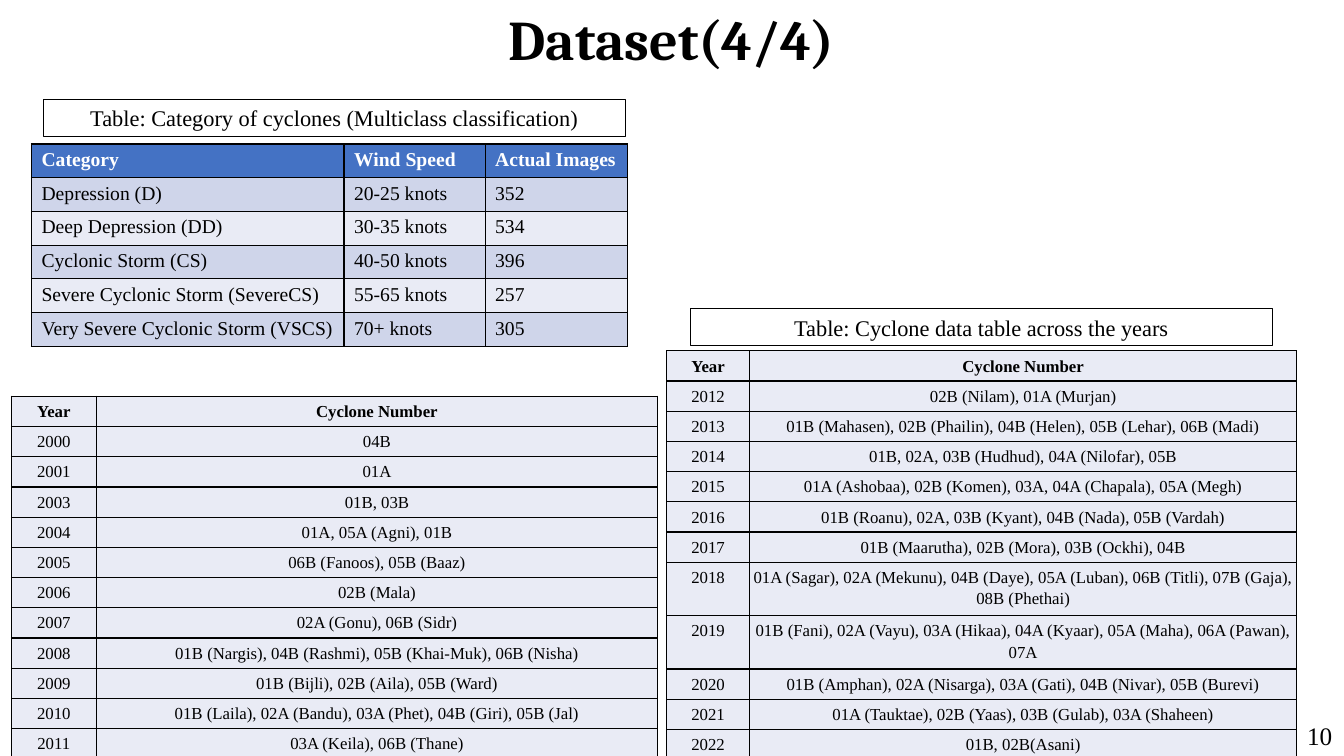
from dataclasses import dataclass
from lxml import etree
from pptx import Presentation
from pptx import util as u
from pptx.dml import color
from pptx.enum import shapes, text
from pptx.oxml import ns

TITLE = "Dataset(4/4)"
PAGE_NUMBER = "10"
CATEGORY_CAPTION = "Table: Category of cyclones (Multiclass classification)"
YEARS_CAPTION = "Table: Cyclone data table across the years"
CATEGORIES = [
    ("Category", "Wind Speed", "Actual Images"),
    ("Depression (D)", "20-25 knots", "352"),
    ("Deep Depression (DD)", "30-35 knots", "534"),
    ("Cyclonic Storm (CS)", "40-50 knots", "396"),
    ("Severe Cyclonic Storm (SevereCS)", "55-65 knots", "257"),
    ("Very Severe Cyclonic Storm (VSCS)", "70+ knots", "305"),
]
YEAR_HEADER = ("Year", "Cyclone Number")
EARLY_YEARS = [
    YEAR_HEADER,
    ("2000", "04B"),
    ("2001", "01A"),
    ("2003", "01B, 03B"),
    ("2004", "01A, 05A (Agni), 01B"),
    ("2005", "06B (Fanoos), 05B (Baaz)"),
    ("2006", "02B (Mala)"),
    ("2007", "02A (Gonu), 06B (Sidr)"),
    ("2008", "01B (Nargis), 04B (Rashmi), 05B (Khai-Muk), 06B (Nisha)"),
    ("2009", "01B (Bijli), 02B (Aila), 05B (Ward)"),
    ("2010", "01B (Laila), 02A (Bandu), 03A (Phet), 04B (Giri), 05B (Jal)"),
    ("2011", "03A (Keila), 06B (Thane)"),
]
LATE_YEARS = [
    YEAR_HEADER,
    ("2012", "02B (Nilam), 01A (Murjan)"),
    ("2013", "01B (Mahasen), 02B (Phailin), 04B (Helen), 05B (Lehar), 06B (Madi)"),
    ("2014", "01B, 02A, 03B (Hudhud), 04A (Nilofar), 05B"),
    ("2015", "01A (Ashobaa), 02B (Komen), 03A, 04A (Chapala), 05A (Megh)"),
    ("2016", "01B (Roanu), 02A, 03B (Kyant), 04B (Nada), 05B (Vardah)"),
    ("2017", "01B (Maarutha), 02B (Mora), 03B (Ockhi), 04B"),
    ("2018", "01A (Sagar), 02A (Mekunu), 04B (Daye), 05A (Luban), 06B (Titli), 07B (Gaja), 08B (Phethai)"),
    ("2019", "01B (Fani), 02A (Vayu), 03A (Hikaa), 04A (Kyaar), 05A (Maha), 06A (Pawan), 07A"),
    ("2020", "01B (Amphan), 02A (Nisarga), 03A (Gati), 04B (Nivar), 05B (Burevi)"),
    ("2021", "01A (Tauktae), 02B (Yaas), 03B (Gulab), 03A (Shaheen)"),
    ("2022", "01B, 02B(Asani)"),
]


@dataclass(frozen=True)
class Theme:
    ink: str = "000000"
    white: str = "FFFFFF"
    header: str = "4472C4"
    dark_band: str = "CFD5EA"
    light_band: str = "E9EBF5"
    title_font: str = "Cambria"
    body_font: str = "Times New Roman"
    title: int = 40
    page: int = 18
    caption: int = 16
    category: int = 14
    year: int = 12


THEME = Theme()
CENTER = text.PP_ALIGN.CENTER
LEFT = text.PP_ALIGN.LEFT


def rgb(value):
    return color.RGBColor.from_string(value)


def write(frame, words, size, align=LEFT, ink=THEME.ink, bold=False, font=THEME.body_font):
    frame.text = words
    frame.word_wrap = True
    para = frame.paragraphs[0]
    para.alignment = align
    span = para.runs[0].font
    span.name, span.size, span.bold = font, u.Pt(size), bold
    span.color.rgb = rgb(ink)
    return para


def add_text(page, bounds, words, size, **style):
    box = page.shapes.add_textbox(*map(u.Pt, bounds))
    write(box.text_frame, words, size, **style)
    return box


def add_caption(page, left, top, words):
    box = page.shapes.add_shape(shapes.MSO_SHAPE.RECTANGLE, *map(u.Pt, (left, top, 415.5, 26.6)))
    box.shadow.inherit = False
    box.fill.background()
    box.line.color.rgb = rgb(THEME.ink)
    box.line.width = u.Pt(0.75)
    write(box.text_frame, words, THEME.caption, CENTER)
    box.text_frame.auto_size = text.MSO_AUTO_SIZE.SHAPE_TO_FIT_TEXT


def add_borders(cell):
    props = cell._tc.get_or_add_tcPr()
    for side in ("a:lnL", "a:lnR", "a:lnT", "a:lnB"):
        line = etree.SubElement(props, ns.qn(side), w=str(u.Pt(1)))
        fill = etree.SubElement(line, ns.qn("a:solidFill"))
        etree.SubElement(fill, ns.qn("a:srgbClr"), val=THEME.ink)


def add_grid(page, left, top, widths, heights, rows, style_cell):
    frame = page.shapes.add_table(len(rows), len(widths), *map(u.Pt, (left, top, sum(widths), sum(heights))))
    table = frame.table
    for column, width in zip(table.columns, widths):
        column.width = u.Pt(width)
    for r, (row, height) in enumerate(zip(rows, heights)):
        table.rows[r].height = u.Pt(height)
        for c, words in enumerate(row):
            cell = table.cell(r, c)
            add_borders(cell)
            cell.fill.solid()
            cell.fill.fore_color.rgb = rgb(style_cell(cell, words, r))


def style_category(cell, words, r):
    header = r == 0
    write(cell.text_frame, words, THEME.category, ink=THEME.white if header else THEME.ink, bold=header)
    if header:
        return THEME.header
    return THEME.dark_band if r % 2 else THEME.light_band


def style_year(cell, words, r):
    cell.margin_left = cell.margin_right = u.Pt(2.2)
    cell.margin_top = cell.margin_bottom = u.Pt(2.5)
    write(cell.text_frame, words, THEME.year, CENTER, bold=r == 0).line_spacing = 1.15
    return THEME.light_band


def add_years(page, left, top, widths, rows):
    heights = [37.5 if len(words) > 75 else 21 for _, words in rows]
    add_grid(page, left, top, widths, heights, rows, style_year)


def main():
    deck = Presentation()
    deck.slide_width, deck.slide_height = u.Pt(960), u.Pt(540)
    page = deck.slides.add_slide(deck.slide_layouts[6])
    title = add_text(page, (278.6, 0, 402.5, 55.4), TITLE, THEME.title,
                     align=CENTER, bold=True, font=THEME.title_font)
    title.text_frame.auto_size = text.MSO_AUTO_SIZE.SHAPE_TO_FIT_TEXT
    add_grid(page, 22.5, 102.8, (223.2, 100.8, 101.5), [24.1] * len(CATEGORIES), CATEGORIES, style_category)
    add_text(page, (926.6, 511.2, 33.8, 28.8), PAGE_NUMBER, THEME.page)
    add_caption(page, 31, 70.9, CATEGORY_CAPTION)
    add_years(page, 8.1, 283.1, (60.7, 401), EARLY_YEARS)
    add_years(page, 476.2, 250.6, (59.2, 391), LATE_YEARS)
    add_caption(page, 493.2, 220.4, YEARS_CAPTION)
    deck.save("out.pptx")


if __name__ == "__main__":
    main()
